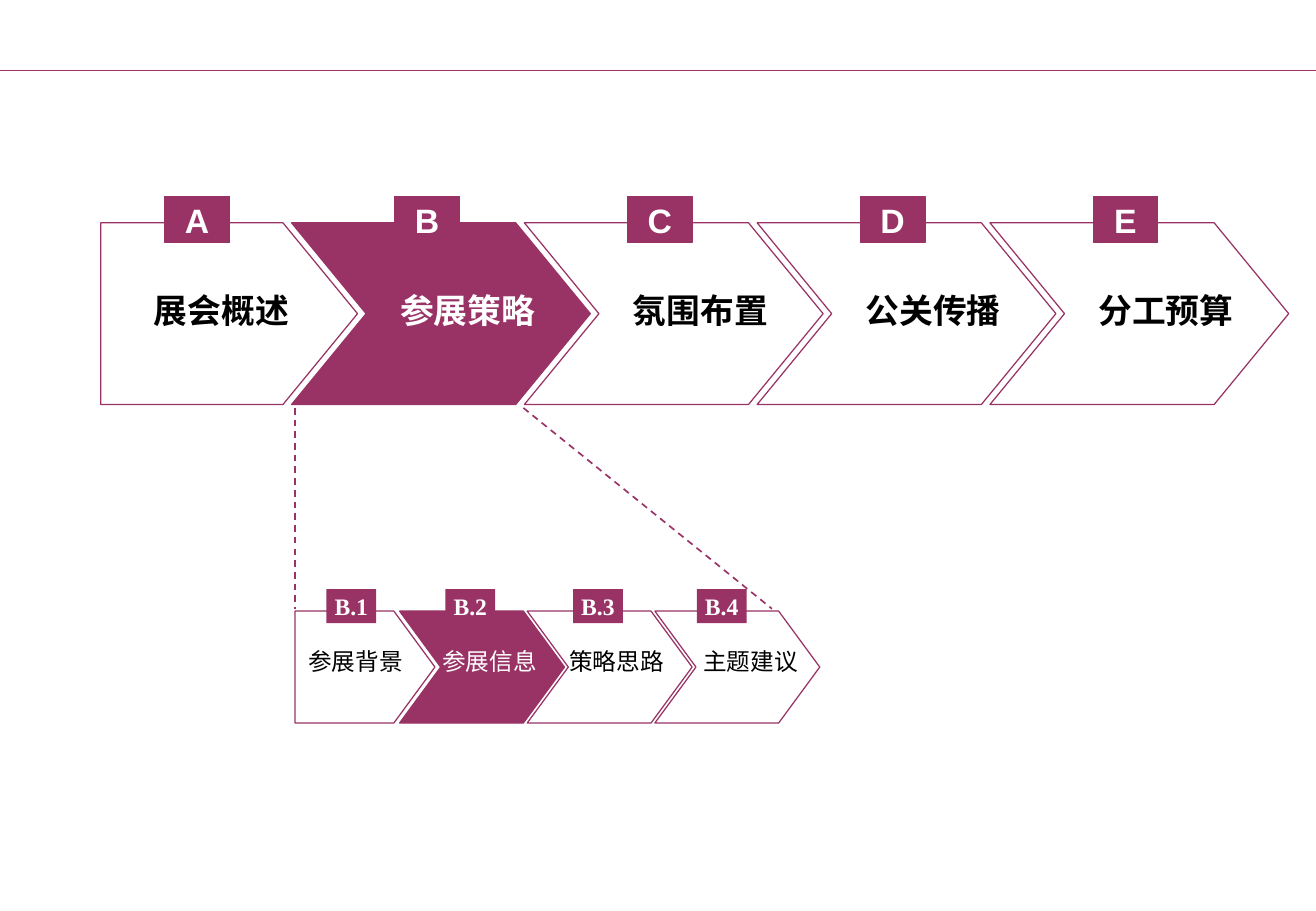
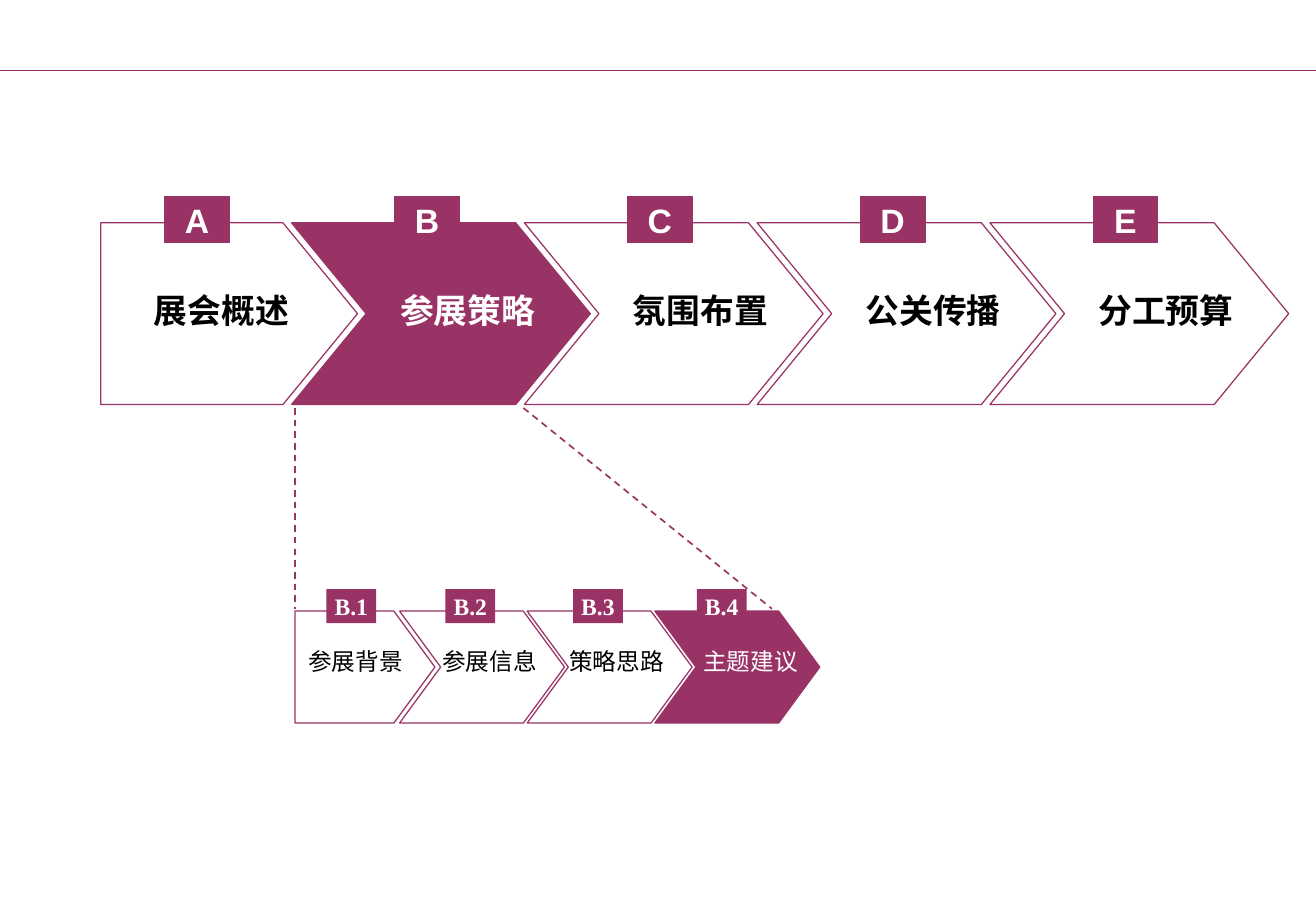
import pptx
import pptx.dml.color
import pptx.enum.dml
import pptx.enum.shapes
import pptx.enum.text
import pptx.oxml.ns
import pptx.util
from lxml import etree

Cm, Pt = pptx.util.Cm, pptx.util.Pt
ALIGN, ANCHOR = pptx.enum.text.PP_ALIGN, pptx.enum.text.MSO_ANCHOR
qn = pptx.oxml.ns.qn

COLOURS = {"plum": "993366", "white": "FFFFFF", "black": "000000"}
CJK_FONT = "Noto Sans CJK SC"

# Content: (tag, label, tag offset, label offset), offsets in cm from the arrow's left
CHAPTERS = [
    ("A", "展会概述", 1.34, 0.86),
    ("B", "参展策略", 2.16, 2.02),
    ("C", "氛围布置", 2.16, 2.02),
    ("D", "公关传播", 2.16, 2.02),
    ("E", "分工预算", 2.16, 2.02),
]
SECTIONS = [
    ("B.1", "参展背景", 0.66, 0.28),
    ("B.2", "参展信息", 0.96, 0.89),
    ("B.3", "策略思路", 0.96, 0.88),
    ("B.4", "主题建议", 0.88, 1.01),
]
CURRENT_CHAPTER = "B"
CURRENT_SECTIONS = ["B.2", "B.4"]  # one slide each

# Geometry of the two chains, in cm
CHAPTER_CHAIN = dict(
    first_left=2.11, first_width=5.37, left=6.10, pitch=4.87, width=6.25,
    top=4.66, height=3.80, tip=1.56, fill="white",
    tag_top=4.11, tag_size=(1.35, 0.97), tag_line="plum",
    label_top=5.92, label_size=(4.06, 1.12), margins=(0.25, 0.13),
    tag_font=dict(name="Arial", size=Pt(20), bold=True),
    label_font=dict(name=CJK_FONT, size=Pt(20), bold=True),
)
SECTION_CHAIN = dict(
    first_left=6.17, first_width=2.93, left=8.36, pitch=2.67, width=3.45,
    top=12.78, height=2.34, tip=0.86, fill=None,
    tag_top=12.32, tag_size=(1.04, 0.71), tag_line=None,
    label_top=13.52, label_size=(2.31, 0.58), margins=(0, 0),
    tag_font=dict(name="Times New Roman", size=Pt(14), bold=True),
    label_font=dict(name="Times New Roman", size=Pt(14), bold=False),
)
ZOOM_LINES = [((6.17, 8.53), (6.17, 12.73)), ((10.95, 8.53), (16.15, 12.73))]


def rgb(name):
    return pptx.dml.color.RGBColor.from_string(COLOURS[name])


def paint(shape, fill, line):
    shape.shadow.inherit = False
    for part, colour in ((shape.fill, fill), (shape.line.fill, line)):
        if colour:
            part.solid()
            part.fore_color.rgb = rgb(colour)
        else:
            part.background()
    if line:
        shape.line.width = Pt(0.75)


def write(shape, text, font, colour, margins=(0, 0), **frame_format):
    frame = shape.text_frame
    across, down = (Cm(margin) for margin in margins)
    frame_format.update(margin_left=across, margin_right=across,
                        margin_top=down, margin_bottom=down)
    for key, value in frame_format.items():
        setattr(frame, key, value)
    run = frame.paragraphs[0].add_run()
    run.text = text
    for key, value in font.items():
        setattr(run.font, key, value)
    run.font.color.rgb = rgb(colour)
    etree.SubElement(run.font._element, qn("a:ea"), typeface=CJK_FONT)


def add_line(slide, start, end, width):
    line = slide.shapes.add_connector(
        pptx.enum.shapes.MSO_CONNECTOR.STRAIGHT, *(Cm(v) for v in start + end))
    line.line.color.rgb = rgb("plum")
    line.line.width = Pt(width)
    etree.SubElement(line.element.spPr, qn("a:effectLst"))
    return line


def add_arrow(slide, left, width, chain, notched, fill):
    top, tip = chain["top"], chain["tip"]
    right, middle, bottom = left + width, top + chain["height"] / 2, top + chain["height"]
    points = [(left, top), (right - tip, top), (right, middle),
              (right - tip, bottom), (left, bottom)]
    if notched:
        points.append((left + tip, middle))
    start, *others = [(Cm(x), Cm(y)) for x, y in points]
    outline = slide.shapes.build_freeform(*start)
    outline.add_line_segments(others, close=True)
    paint(outline.convert_to_shape(), fill, "plum")


def add_chain(slide, steps, chain, current):
    lefts = [chain["first_left"]]
    lefts += [chain["left"] + i * chain["pitch"] for i in range(len(steps) - 1)]
    # Arrows: the first has a flat back, the others are notched
    for i, (step, left) in enumerate(zip(steps, lefts)):
        add_arrow(slide, left, chain["width" if i else "first_width"], chain,
                  notched=i > 0, fill="plum" if step[0] == current else chain["fill"])
    # Tags and labels
    for (tag, label, tag_offset, label_offset), left in zip(steps, lefts):
        badge = slide.shapes.add_shape(
            pptx.enum.shapes.MSO_SHAPE.RECTANGLE, Cm(left + tag_offset),
            Cm(chain["tag_top"]), *(Cm(v) for v in chain["tag_size"]))
        paint(badge, "plum", chain["tag_line"])
        write(badge, tag, chain["tag_font"], "white",
              word_wrap=False, vertical_anchor=ANCHOR.MIDDLE)
        badge.text_frame.paragraphs[0].alignment = ALIGN.CENTER

        caption = slide.shapes.add_textbox(
            Cm(left + label_offset), Cm(chain["label_top"]),
            *(Cm(v) for v in chain["label_size"]))
        write(caption, label, chain["label_font"],
              "white" if tag == current else "black", chain["margins"], word_wrap=True)


def main():
    deck = pptx.Presentation()
    deck.slide_width, deck.slide_height = Cm(27.53), Cm(19.05)
    blank = deck.slide_layouts[6]
    slides = [deck.slides.add_slide(blank) for _ in CURRENT_SECTIONS]

    # Header rule, moved to the shared layout
    header_rule = add_line(slides[0], (0, 1.48), (27.52, 1.48), 0.75)
    blank.shapes.element.append(header_rule.element)

    for slide, section in zip(slides, CURRENT_SECTIONS):
        add_chain(slide, CHAPTERS, CHAPTER_CHAIN, CURRENT_CHAPTER)
        for start, end in ZOOM_LINES:
            zoom = add_line(slide, start, end, 1)
            zoom.line.dash_style = pptx.enum.dml.MSO_LINE.DASH
        add_chain(slide, SECTIONS, SECTION_CHAIN, section)

    deck.save("out.pptx")


if __name__ == "__main__":
    main()
